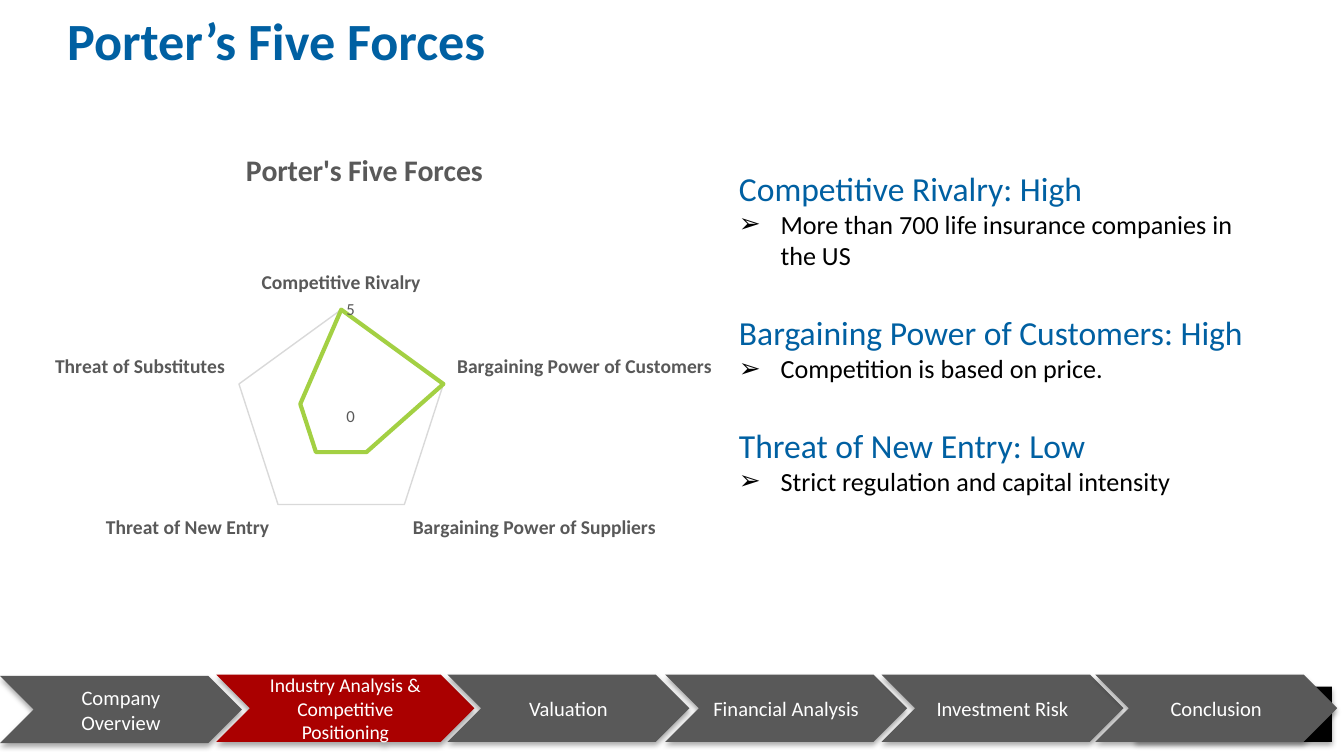
from typing import NamedTuple

from lxml.etree import SubElement
from pptx import Presentation
from pptx.chart.data import CategoryChartData
from pptx.dml.color import RGBColor
from pptx.enum.chart import XL_CHART_TYPE, XL_TICK_MARK
from pptx.enum.shapes import MSO_SHAPE
from pptx.enum.text import MSO_ANCHOR, MSO_AUTO_SIZE, PP_ALIGN
from pptx.oxml import parse_xml
from pptx.oxml.ns import nsdecls, qn
from pptx.util import Inches, Pt

BLUE = RGBColor(0x00, 0x60, 0xA2)
GREEN = RGBColor(0xA3, 0xD0, 0x43)
RED = RGBColor(0xAA, 0x00, 0x00)
GRAY = RGBColor(0x59, 0x59, 0x59)
LIGHT_GRAY = RGBColor(0xD9, 0xD9, 0xD9)
BLACK = RGBColor(0x00, 0x00, 0x00)
WHITE = RGBColor(0xFF, 0xFF, 0xFF)
FONT = "Calibri"


class Step(NamedTuple):
    label: str
    left: float
    top: float = 5.02
    width: float = 1.8
    fill: RGBColor = GRAY
    size: float = 11


class Force(NamedTuple):
    heading: str
    reason: str


STEPS = [
    Step("Company Overview", 0, top=5.03),
    Step("Industry Analysis & Competitive Positioning", 1.61, width=1.92,
         fill=RED, size=10.5),
    Step("Valuation", 3.33),
    Step("Financial Analysis", 4.95),
    Step("Investment Risk", 6.56),
    Step("Conclusion", 8.15),
]
FORCES = [
    Force("Competitive Rivalry: High",
          "More than 700 life insurance companies in the US"),
    Force("Bargaining Power of Customers: High", "Competition is based on price."),
    Force("Threat of New Entry: Low", "Strict regulation and capital intensity"),
]
SCORES = {
    "Competitive Rivalry": 5,
    "Bargaining Power of Customers": 5,
    "Bargaining Power of Suppliers": 2,
    "Threat of New Entry": 2,
    "Threat of Substitutes": 2,
}


def set_font(font, size: float, color: RGBColor, bold: bool = False) -> None:
    font.name, font.size, font.bold = FONT, Pt(size), bold
    font.color.rgb = color


def add_block(slide, kind, left: float, top: float, width: float, height: float,
              fill: RGBColor):
    """Add a borderless filled shape with a soft shadow below it."""
    block = slide.shapes.add_shape(
        kind, Inches(left), Inches(top), Inches(width), Inches(height))
    block.fill.solid()
    block.fill.fore_color.rgb = fill
    block.line.fill.background()
    block._element.spPr.append(parse_xml(
        f'<a:effectLst {nsdecls("a")}>'
        f'<a:outerShdw blurRad="{Pt(3.1)}" dist="{Pt(1.8)}" dir="5400000" rotWithShape="0">'
        '<a:srgbClr val="000000"><a:alpha val="35000"/></a:srgbClr>'
        '</a:outerShdw></a:effectLst>'))
    return block


def add_step(slide, step: Step) -> None:
    chevron = add_block(slide, MSO_SHAPE.CHEVRON, step.left, step.top,
                        step.width, 0.5, step.fill)
    frame = chevron.text_frame
    frame.word_wrap = True
    frame.vertical_anchor = MSO_ANCHOR.MIDDLE
    label = frame.paragraphs[0]
    label.text = step.label
    label.alignment = PP_ALIGN.CENTER
    set_font(label.font, step.size, WHITE)


def add_forces(slide, forces: list[Force]) -> None:
    box = slide.shapes.add_textbox(Inches(5.4), Inches(1.2), Inches(4.1), Inches(2.86))
    frame = box.text_frame
    frame.word_wrap = True
    frame.auto_size = MSO_AUTO_SIZE.SHAPE_TO_FIT_TEXT
    for index, force in enumerate(forces):
        heading = frame.add_paragraph() if index else frame.paragraphs[0]
        heading.text = force.heading
        if index:
            heading.space_before = Pt(22)
        set_font(heading.font, 18, BLUE)

        reason = frame.add_paragraph()
        reason.text = force.reason
        properties = reason._p.get_or_add_pPr()
        properties.set("marL", str(Inches(0.31)))
        properties.set("indent", str(Inches(-0.31)))
        SubElement(properties, qn("a:buFont"), typeface="Arial")
        SubElement(properties, qn("a:buChar"), char="➢")
        set_font(reason.font, 14, BLACK)


def manual_layout(x: float, y: float, w: float = 0, h: float = 0):
    """Layout in fractions of the chart; a size also pins the inner plot area."""
    target = '<c:layoutTarget val="inner"/>' if w else ""
    size = f'<c:w val="{w}"/><c:h val="{h}"/>' if w else ""
    return parse_xml(
        f'<c:layout {nsdecls("c")}><c:manualLayout>{target}'
        '<c:xMode val="edge"/><c:yMode val="edge"/>'
        f'<c:x val="{x}"/><c:y val="{y}"/>{size}</c:manualLayout></c:layout>')


def place(element, layout, after: str = "") -> None:
    """Replace the layout of a chart part, keeping the schema order."""
    for old in element.findall(qn("c:layout")):
        element.remove(old)
    if after:
        element.find(qn(after)).addnext(layout)
    else:
        element.insert(0, layout)


def add_radar(slide, scores: dict[str, int]) -> None:
    data = CategoryChartData()
    data.categories = list(scores)
    data.add_series("Series 1", list(scores.values()))
    chart = slide.shapes.add_chart(
        XL_CHART_TYPE.RADAR, Inches(0.29), Inches(0.97), Inches(5.01), Inches(3.59),
        data).chart
    set_font(chart.font, 10, BLACK)
    chart.has_legend = False

    # Chart title
    chart.has_title = True
    heading = chart.chart_title.text_frame.paragraphs[0]
    heading.text = "Porter's Five Forces"
    set_font(heading.font, 16, GRAY, bold=True)
    place(chart.chart_title._element, manual_layout(0.3, 0.03), after="c:tx")
    place(chart._chartSpace.chart.plotArea, manual_layout(0.29, 0.37, 0.32, 0.45))

    # Axes
    categories, values = chart.category_axis, chart.value_axis
    for axis in (categories, values):
        axis.major_tick_mark = axis.minor_tick_mark = XL_TICK_MARK.NONE
    categories.has_major_gridlines = False
    categories.format.line.color.rgb = LIGHT_GRAY
    categories.format.line.width = Pt(0.75)
    set_font(categories.tick_labels.font, 10.5, GRAY, bold=True)
    values.minimum_scale, values.maximum_scale, values.major_unit = 0, 5, 5
    values.has_major_gridlines = True
    values.major_gridlines.format.line.color.rgb = LIGHT_GRAY
    values.major_gridlines.format.line.width = Pt(0.75)
    values.format.line.fill.background()
    set_font(values.tick_labels.font, 9, GRAY)

    # Score outline
    outline = chart.plots[0].series[0]
    outline.smooth = False
    outline.format.line.color.rgb = GREEN
    outline.format.line.width = Pt(2.25)


def main() -> None:
    deck = Presentation()
    deck.slide_width, deck.slide_height = Inches(10), Inches(10 * 9 / 16)
    slide = deck.slides.add_slide(deck.slide_layouts[5])

    # Progress bar, with a dark corner behind the last step
    for step in STEPS[:-1]:
        add_step(slide, step)
    add_block(slide, MSO_SHAPE.RECTANGLE, 8.45, 5.11, 1.46, 0.41, BLACK)
    add_step(slide, STEPS[-1])

    # Title
    title = slide.shapes.title
    title.left, title.top = Inches(0.4), Inches(0)
    title.width, title.height = Inches(9), Inches(0.59)
    title.text_frame.auto_size = MSO_AUTO_SIZE.NONE
    title.text_frame.vertical_anchor = MSO_ANCHOR.MIDDLE
    title_line = title.text_frame.paragraphs[0]
    title_line.text = "Porter’s Five Forces"
    title_line.alignment = PP_ALIGN.LEFT
    title_line.space_after = Pt(6)
    set_font(title_line.font, 28, BLUE, bold=True)

    # Content
    add_forces(slide, FORCES)
    add_radar(slide, SCORES)
    deck.save("out.pptx")


if __name__ == "__main__":
    main()
